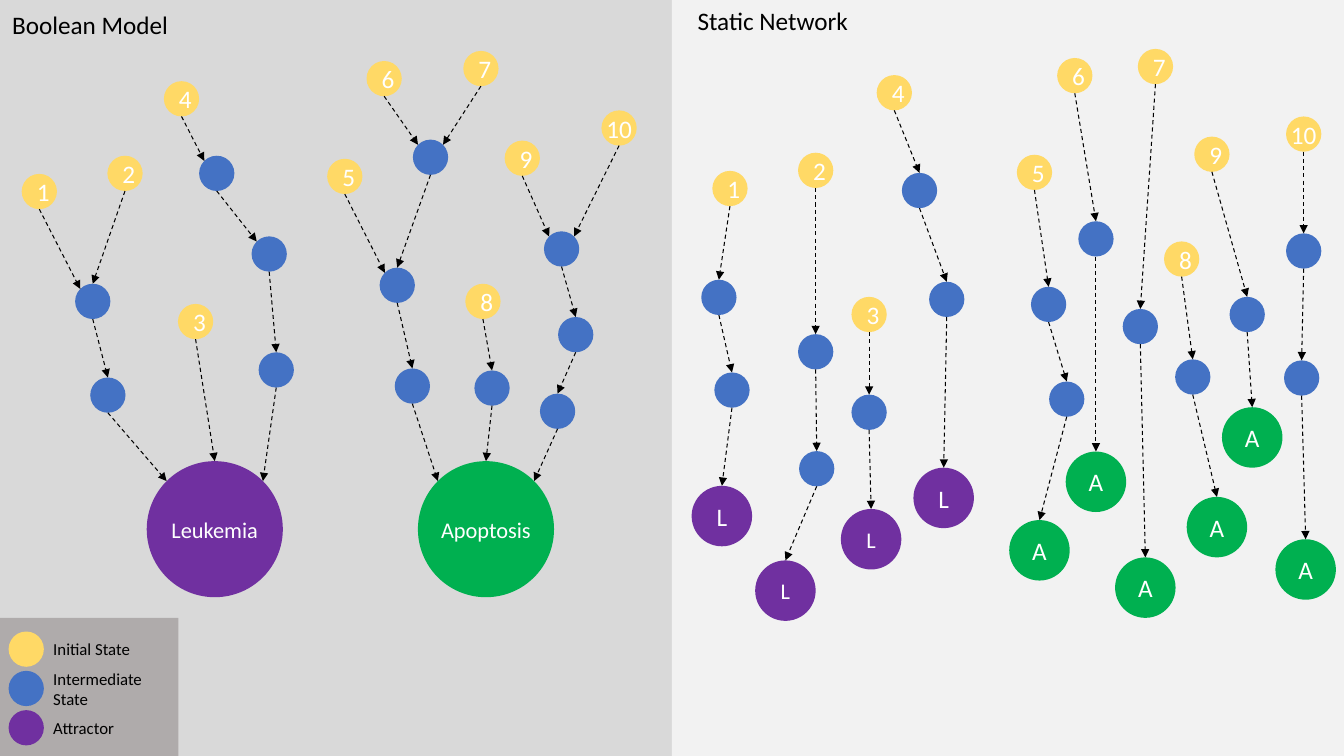
from itertools import pairwise
from math import sqrt

from lxml.etree import SubElement
from pptx import Presentation
from pptx.dml.color import RGBColor
from pptx.enum.dml import MSO_LINE_DASH_STYLE as Dash
from pptx.enum.shapes import MSO_CONNECTOR as Connector, MSO_SHAPE as Shape
from pptx.enum.text import MSO_ANCHOR as Anchor, MSO_AUTO_SIZE as AutoSize, PP_ALIGN as Align
from pptx.oxml.ns import qn
from pptx.util import Inches, Pt

SLIDE_W, SLIDE_H = 13.33, 7.5
FONT = "Calibri"
COLORS = {
    "boolean": "D9D9D9", "static": "F2F2F2", "legend": "AFABAB",
    "initial": "FFD966", "intermediate": "4472C4",
    "leukemia": "7030A0", "apoptosis": "00B050",
    "ink": "000000", "label": "FFFFFF",
}
SMALL, MEDIUM, LARGE = 0.35, 0.6, 1.35
TOP, TOP_LEFT, BOTTOM, TOP_RIGHT = 0, 1, 4, 7

BOOLEAN_INITIAL = {
    "1": (0.39, 1.9), "2": (1.24, 1.72), "3": (1.94, 3.19), "4": (1.8, 0.98), "5": (3.42, 1.75),
    "6": (3.81, 0.78), "7": (4.77, 0.68), "8": (4.79, 2.99), "9": (5.18, 1.57), "10": (6.14, 1.27),
}
BOOLEAN_INTERMEDIATE = {
    "a": (0.92, 2.99), "b": (1.07, 3.92), "c": (2.15, 1.72), "d": (2.67, 2.52),
    "e": (2.74, 3.67), "f": (4.27, 1.56), "g": (3.94, 2.83), "h": (4.09, 3.83),
    "i": (4.88, 3.85), "j": (5.57, 2.47), "k": (5.71, 3.32), "l": (5.53, 4.08),
}
BOOLEAN_ATTRACTORS = {"Leukemia": (2.13, 5.25), "Apoptosis": (4.82, 5.25)}
BOOLEAN_EDGES = {
    TOP: [("2", "a"), ("a", "b"), ("3", "Leukemia"), ("d", "e"), ("f", "g"), ("g", "h"),
          ("8", "i"), ("i", "Apoptosis"), ("j", "k"), ("k", "l")],
    TOP_LEFT: [("1", "a"), ("b", "Leukemia"), ("4", "c"), ("c", "d"), ("5", "g"),
               ("6", "f"), ("h", "Apoptosis"), ("9", "j")],
    TOP_RIGHT: [("e", "Leukemia"), ("7", "f"), ("10", "j"), ("l", "Apoptosis")],
}
STATIC_CHAINS = [
    ("1", "L", 18, [(7.24, 1.87), (7.13, 2.95), (7.26, 3.87), (7.16, 5.12)]),
    ("2", "L", 16, [(8.09, 1.69), (8.09, 3.49), (8.1, 4.65), (7.79, 5.86)]),
    ("3", "L", 16, [(8.62, 3.12), (8.62, 4.09), (8.64, 5.35)]),
    ("4", "L", 18, [(8.87, 0.92), (9.12, 1.89), (9.39, 2.97), (9.36, 4.94)]),
    ("5", "A", 18, [(10.26, 1.71), (10.4, 3.02), (10.58, 3.96), (10.31, 5.46)]),
    ("6", "A", 18, [(10.66, 0.75), (10.87, 2.37), (10.87, 4.78)]),
    ("7", "A", 18, [(11.46, 0.66), (11.31, 3.24), (11.36, 5.83)]),
    ("8", "A", 18, [(11.72, 2.57), (11.83, 3.74), (12.07, 5.23)]),
    ("9", "A", 18, [(12.02, 1.53), (12.37, 3.12), (12.42, 4.34)]),
    ("10", "A", 18, [(12.93, 1.33), (12.93, 2.49), (12.91, 3.75), (12.95, 5.65)]),
]
LEGEND = [
    ("Initial State", "initial", 0.3),
    ("Intermediate State", "intermediate", 0.5),
    ("Attractor", "leukemia", 0.3),
]
LEGEND_TOP, LEGEND_W, LEGEND_FIRST, LEGEND_STEP = 6.13, 1.77, 6.44, 0.39

deck = Presentation()
deck.slide_width, deck.slide_height = Inches(SLIDE_W), Inches(SLIDE_H)
slide = deck.slides.add_slide(deck.slide_layouts[5])
shapes = slide.shapes


def color(name):
    return RGBColor.from_string(COLORS[name])


def write(holder, text, size, ink, align, anchor, wrap=True):
    frame = holder.text_frame
    frame.text = text
    frame.word_wrap = wrap
    frame.auto_size = AutoSize.NONE
    frame.vertical_anchor = anchor
    line = frame.paragraphs[0]
    line.alignment = align
    line.font.name, line.font.size = FONT, Pt(size)
    line.font.color.rgb = color(ink)


def add_filled(preset, left, top, width, height, fill):
    figure = shapes.add_shape(preset, *map(Inches, (left, top, width, height)))
    figure.shadow.inherit = False
    figure.fill.solid()
    figure.fill.fore_color.rgb = color(fill)
    figure.line.fill.background()
    return figure


def add_node(center, diameter, fill, label="", size=18):
    x, y = center
    node = add_filled(Shape.OVAL, x - diameter / 2, y - diameter / 2, diameter, diameter, fill)
    if label:
        write(node, label, size, "label", Align.CENTER, Anchor.MIDDLE, len(label) == 1)
    return node


def site_point(node, site):
    radius = node.width / 2
    diagonal = radius / sqrt(2)
    dx, dy = {TOP: (0, -radius), BOTTOM: (0, radius),
              TOP_LEFT: (-diagonal, -diagonal), TOP_RIGHT: (diagonal, -diagonal)}[site]
    return int(node.left + radius + dx), int(node.top + radius + dy)


def add_arrow(source, target, site=TOP):
    arrow = shapes.add_connector(
        Connector.STRAIGHT, *site_point(source, BOTTOM), *site_point(target, site))
    arrow.line.color.rgb = color("ink")
    arrow.line.width = Pt(0.75)
    arrow.line.dash_style = Dash.DASH
    SubElement(arrow.line._get_or_add_ln(), qn("a:tailEnd"), type="triangle")
    SubElement(arrow._element.spPr, qn("a:effectLst"))
    glue = arrow._element.xpath(".//p:cNvCxnSpPr")[0]
    for tag, node, index in (("a:stCxn", source, BOTTOM), ("a:endCxn", target, site)):
        SubElement(glue, qn(tag), id=str(node.shape_id), idx=str(index))


def add_caption(text, left, top, width, height, size, anchor=Anchor.TOP):
    caption = shapes.add_textbox(*map(Inches, (left, top, width, height)))
    write(caption, text, size, "ink", Align.LEFT, anchor)


for column, panel in enumerate(("boolean", "static")):
    add_filled(Shape.RECTANGLE, column * SLIDE_W / 2, 0, SLIDE_W / 2, SLIDE_H, panel)
add_filled(Shape.RECTANGLE, 0, LEGEND_TOP, LEGEND_W, SLIDE_H - LEGEND_TOP, "legend")

title = shapes.title
title.left, title.top, title.width, title.height = map(Inches, (0.02, 0.04, 2.1, 0.4))
write(title, "Boolean Model", 18, "ink", Align.LEFT, Anchor.TOP)
shapes._spTree.append(title._element)
add_caption("Static Network", 6.82, 0, 2.1, 0.4, 18)

boolean = {}
for number, center in BOOLEAN_INITIAL.items():
    boolean[number] = add_node(center, SMALL, "initial", number)
for key, center in BOOLEAN_INTERMEDIATE.items():
    boolean[key] = add_node(center, SMALL, "intermediate")
for name, center in BOOLEAN_ATTRACTORS.items():
    boolean[name] = add_node(center, LARGE, name.lower(), name, 16)
for site, edges in BOOLEAN_EDGES.items():
    for source, target in edges:
        add_arrow(boolean[source], boolean[target], site)

for number, letter, size, (first, *middle, last) in STATIC_CHAINS:
    attractor = "leukemia" if letter == "L" else "apoptosis"
    chain = [add_node(first, SMALL, "initial", number)]
    chain += [add_node(center, SMALL, "intermediate") for center in middle]
    chain.append(add_node(last, MEDIUM, attractor, letter, size))
    for source, target in pairwise(chain):
        add_arrow(source, target)

for row, (meaning, fill, height) in enumerate(LEGEND):
    y = LEGEND_FIRST + row * LEGEND_STEP
    add_node((0.26, y), SMALL, fill)
    add_caption(meaning, 0.43, y - height / 2, LEGEND_W - 0.43, height, 12, Anchor.MIDDLE)

deck.save("out.pptx")
